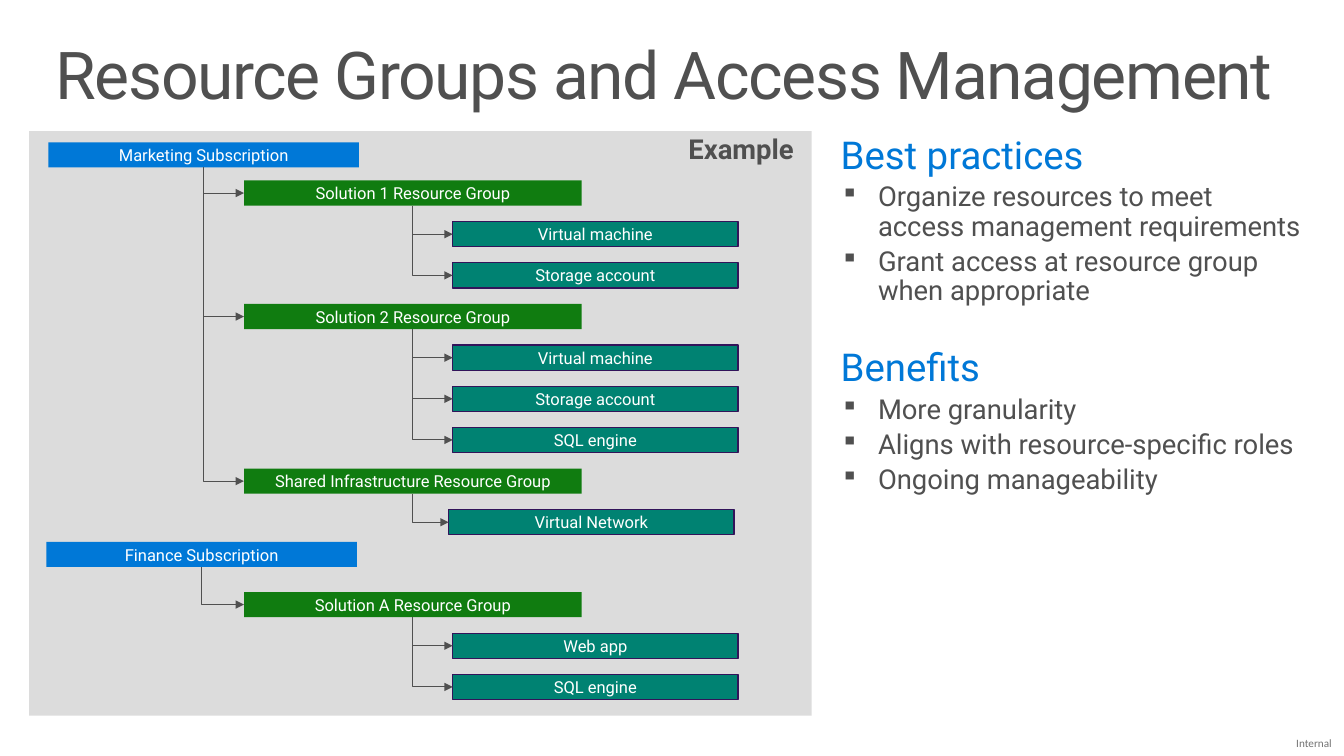
from lxml import etree
from pptx import Presentation
from pptx import util as u
from pptx.dml.color import RGBColor
from pptx.enum import shapes, text
from pptx.oxml.ns import qn

COLORS = {"ink": "505050", "blue": "0078D7", "green": "107C10", "teal": "008272",
          "edge": "32145A", "white": "FFFFFF", "footer": "737373"}
COLS, ROWS = 133.3, 75
CELL = u.Inches(0.1)
BAR_HEIGHT = 2.5
ROW_PITCH = 49 / 12
LEVELS = [(1.9, 30.8, "blue"), (21.3, 33.5, "green"), (42, 28.3, "teal")]
TREE = [
    (0, "Marketing Subscription", 0, 0.3),
    (1, "Solution 1 Resource Group", 0, 0),
    (2, "Virtual machine", 0, 0),
    (2, "Storage account", 0, 0),
    (1, "Solution 2 Resource Group", 0, 0),
    (2, "Virtual machine", 0, 0),
    (2, "Storage account", 0, 0),
    (2, "SQL engine", 0, 0),
    (1, "Shared Infrastructure Resource Group", 0, 0),
    (2, "Virtual Network", -0.4, 0),
    (0, "Finance Subscription", -0.2, -0.9),
    (1, "Solution A Resource Group", 0, 0),
    (2, "Web app", 0, 0),
    (2, "SQL engine", 0, 0),
]
ADVICE = [
    ("Best practices", ["Organize resources to meet access management requirements",
                        "Grant access at resource group when appropriate"]),
    ("Benefits", ["More granularity", "Aligns with resource-specific roles",
                  "Ongoing manageability"]),
]


def rgb(name):
    """Return the named colour."""
    return RGBColor.from_string(COLORS[name])


def cells(*counts):
    """Convert counts of grid cells to lengths."""
    return [round(n * CELL) for n in counts]


def add(parent, tag, **attrs):
    """Append a drawing element with the given attributes."""
    return etree.SubElement(parent, qn(tag), attrs)


def write(tf, content, size, color="ink", font="Roboto", bold=False, align="LEFT",
          leading=0.9, before=0, bullet=False, tracking=0):
    """Write one formatted paragraph into a text frame."""
    p = tf.paragraphs[0] if not tf.text else tf.add_paragraph()
    if bullet:
        pPr = p._p.get_or_add_pPr()
        indent = u.Inches(0.37)
        pPr.set("marL", str(indent))
        pPr.set("indent", str(-indent))
        add(add(pPr, "a:buClr"), "a:srgbClr", val=COLORS["ink"])
        add(pPr, "a:buSzPct", val="90000")
        add(pPr, "a:buFont", typeface="OpenSymbol")
        add(pPr, "a:buChar", char="▪")
    p.alignment = getattr(text.PP_ALIGN, align)
    p.line_spacing = leading
    if before:
        p.space_before = u.Pt(before)
    r = p.add_run()
    r.text = content
    r.font.size, r.font.name, r.font.bold = u.Pt(size), font, bold
    r.font.color.rgb = rgb(color)
    if tracking:
        r._r.get_or_add_rPr().set("spc", str(tracking * 100))


def text_box(s, box, margins=(1, 0.5), middle=False):
    """Add a wrapping text box and return its frame."""
    tf = s.shapes.add_textbox(*cells(*box)).text_frame
    tf.word_wrap = True
    tf.margin_left = tf.margin_right = cells(margins[0])[0]
    tf.margin_top = tf.margin_bottom = cells(margins[1])[0]
    if middle:
        tf.vertical_anchor = text.MSO_ANCHOR.MIDDLE
    return tf


def rectangle(s, box, fill, edge=None):
    """Add a flat rectangle with an optional thin edge."""
    sp = s.shapes.add_shape(shapes.MSO_SHAPE.RECTANGLE, *cells(*box))
    sp.shadow.inherit = False
    sp.fill.solid()
    sp.fill.fore_color.rgb = rgb(fill)
    if edge:
        sp.line.color.rgb = rgb(edge)
        sp.line.width = u.Pt(0.85)
    else:
        sp.line.fill.background()
    return sp


def bar(s, box, label, fill):
    """Add a labelled bar of the resource tree."""
    sp = rectangle(s, box, fill, "edge" if fill == "teal" else None)
    tf = sp.text_frame
    tf.margin_left = tf.margin_right = 0
    tf.vertical_anchor = text.MSO_ANCHOR.MIDDLE
    write(tf, label, 11.8, "white", align="CENTER", leading=1)
    return sp


def branch(s, parent, child):
    """Run an elbow arrow from the parent's bottom to the child's left side."""
    x, y = parent.left + parent.width // 2, parent.top + parent.height
    dx, dy = child.left - x, child.top + child.height // 2 - y
    c = s.shapes.add_connector(shapes.MSO_CONNECTOR.ELBOW, x, y, x + dx, y + dy)
    c.begin_connect(parent, 2)
    c.end_connect(child, 1)
    c.left, c.top = x + (dx - dy) // 2, y + (dy - dx) // 2
    c.width, c.height = dy, dx
    spPr = c._element.spPr
    xfrm = spPr.find(qn("a:xfrm"))
    xfrm.set("rot", str(270 * 60000))
    xfrm.set("flipH", "1")
    spPr.find(qn("a:prstGeom")).set("prst", "bentConnector2")
    c.line.color.rgb = rgb("ink")
    c.line.width = u.Pt(0.75)
    add(spPr.find(qn("a:ln")), "a:tailEnd", type="triangle")
    add(spPr, "a:effectLst")


def resource_tree(s, left, top, width, height):
    """Draw the example panel with its tree of subscriptions."""
    panel = rectangle(s, (left, top, width, height), "ink")
    add(panel._element.spPr.find(".//" + qn("a:srgbClr")), "a:alpha", val="20000")
    parents = {}
    for row, (level, label, shift_x, shift_y) in enumerate(TREE):
        x, bar_width, fill = LEVELS[level]
        y = 4.9 + (row - 1) * ROW_PITCH
        sp = bar(s, (left + x + shift_x, top + y + shift_y, bar_width, BAR_HEIGHT),
                 label, fill)
        parents[level] = sp
        if level:
            branch(s, parents[level - 1], sp)
    tf = text_box(s, (left + width - 27, top, 26.2, 4.9))
    write(tf, "Example", 19.6, bold=True, align="RIGHT")


def advice(s, left, top, width, height):
    """List the headed groups of bullet points."""
    tf = text_box(s, (left, top, width, height))
    for i, (heading, points) in enumerate(ADVICE):
        write(tf, heading, 27.4, "blue", before=30 * i)
        for point in points:
            write(tf, point, 19.6, before=3.9, bullet=True)


def title(s, left, top, width, height):
    """Write the slide title."""
    tf = text_box(s, (left, top, width, height), (1.6, 1))
    write(tf, "Resource Groups and Access Management", 47.1, tracking=-1)


def footer(s, left, top, width, height):
    """Write the classification in the corner."""
    tf = text_box(s, (left, top, width, height), (1.2, 0), middle=True)
    write(tf, "Internal", 8, "footer", "Calibri", align="RIGHT")


def main():
    """Build and save the slide."""
    prs = Presentation()
    prs.slide_width, prs.slide_height = cells(COLS, ROWS)
    s = prs.slides.add_slide(prs.slide_layouts[6])
    footer(s, COLS - 6.1, ROWS - 2.5, 6.1, 2.5)
    title(s, 3.9, 3.2, 125.5, 9.8)
    resource_tree(s, 2.9, 13, 77.6, 58)
    advice(s, 82.4, 13, 48, 56.4)
    prs.save("out.pptx")


if __name__ == "__main__":
    main()
